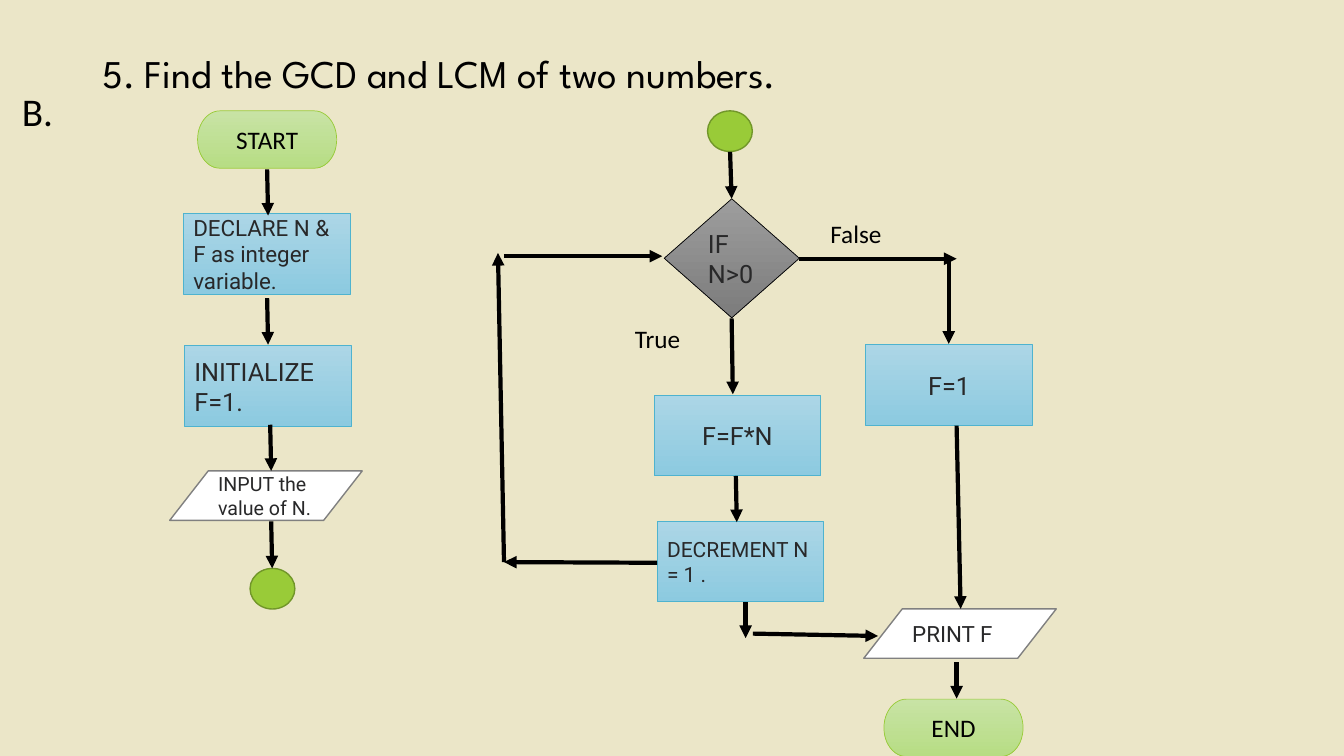
from typing import NamedTuple

from lxml import etree
from pptx import Presentation
from pptx.dml.color import RGBColor
from pptx.enum.shapes import MSO_CONNECTOR, MSO_SHAPE
from pptx.enum.text import MSO_ANCHOR, PP_ALIGN
from pptx.oxml.ns import qn
from pptx.util import Pt

STRAIGHT = MSO_CONNECTOR.STRAIGHT
TERMINATOR = MSO_SHAPE.FLOWCHART_TERMINATOR
JUNCTION = MSO_SHAPE.FLOWCHART_CONNECTOR
DECISION = MSO_SHAPE.FLOWCHART_DECISION
PROCESS = MSO_SHAPE.FLOWCHART_PROCESS
DATA = MSO_SHAPE.FLOWCHART_DATA
TOP, MIDDLE = MSO_ANCHOR.TOP, MSO_ANCHOR.MIDDLE
LEFT, CENTER = PP_ALIGN.LEFT, PP_ALIGN.CENTER

COLORS = {
    "background": "EBE6C8",
    "black": "000000",
    "ink": "282829",
    "white": "FFFFFF",
    "gray": "808080",
    "green": "99CB38",
    "dark green": "719629",
    "green top": "C8E3A5",
    "green bottom": "B7DD84",
    "blue": "4EB3CF",
    "blue top": "ACD6E6",
    "blue bottom": "8CCAE0",
    "gray top": "9D9D9D",
    "gray bottom": "7C7C7C",
}


class Style(NamedTuple):
    width: float
    height: float
    fills: tuple[str, ...]
    line: str
    line_width: float
    font: str = "Roboto"
    ink: str = "ink"


class Node(NamedTuple):
    kind: MSO_SHAPE
    left: float
    top: float
    text: str = ""
    size: float = 18
    align: PP_ALIGN = LEFT


class Arrow(NamedTuple):
    x1: float
    y1: float
    x2: float
    y2: float


class Label(NamedTuple):
    text: str
    left: float
    top: float
    width: float
    height: float
    size: float = 18
    font: str = "Calibri"
    anchor: MSO_ANCHOR = TOP
    line_spacing: float = 1.0
    space_before: float = 0


STYLES = {
    TERMINATOR: Style(99.4, 41, ("green top", "green bottom"), "green", 0.5, "Calibri", "black"),
    JUNCTION: Style(32, 29, ("green",), "dark green", 1),
    DECISION: Style(96.5, 85, ("gray top", "gray bottom"), "black", 0.5),
    PROCESS: Style(119, 57.6, ("blue top", "blue bottom"), "blue", 0.5),
    DATA: Style(137.5, 35.3, ("white",), "gray", 1),
}

NODES = [
    Node(TERMINATOR, 141.1, 79.2, "START", 18, CENTER),
    Node(PROCESS, 131, 152.6, "DECLARE N & F as integer variable.", 16),
    Node(PROCESS, 131.8, 247, "INITIALIZE F=1."),
    Node(DATA, 121.2, 336.4, "INPUT the value of N.", 14),
    Node(JUNCTION, 178.6, 406),
    Node(JUNCTION, 505.4, 79.2),
    Node(DECISION, 474.5, 142, "IF N>0"),
    Node(PROCESS, 467.3, 282.2, "F=F*N", 18, CENTER),
    Node(PROCESS, 618.5, 246.2, "F=1", 18, CENTER),
    Node(PROCESS, 469.4, 372.2, "DECREMENT N = 1 .", 15),
    Node(DATA, 617, 434.9, "PRINT F", 16),
    Node(TERMINATOR, 631.4, 499.4, "END", 18, CENTER),
]

ARROWS = [
    Arrow(190.8, 121, 191.5, 154),
    Arrow(190.8, 213, 191.5, 246.2),
    Arrow(193, 303.4, 193.7, 336.4),
    Arrow(193.7, 372.4, 194.4, 406),
    Arrow(521.5, 108.5, 522.6, 142),
    Arrow(571, 184.8, 683.3, 184.8),
    Arrow(677.7, 184.8, 677.7, 245.6),
    Arrow(522.6, 227.4, 523.5, 281.6),
    Arrow(525.6, 340, 526.3, 373),
    Arrow(683.3, 304, 686.2, 434.9),
    Arrow(683.3, 473, 683.3, 499),
    Arrow(469.4, 402, 360, 401.5),
    Arrow(360, 401.5, 355.7, 180.7),
    Arrow(360, 183, 473, 183),
    Arrow(532.6, 430, 532.6, 455.8),
    Arrow(537.8, 452.6, 627.2, 454.3),
]

LABELS = [
    Label("5. Find the GCD and LCM of two numbers.", 66.2, 28.8, 828, 50.4,
          28, "League Spartan", MIDDLE, 0.9),
    Label("B.", 8.6, 62.6, 917.3, 477.4, 28, line_spacing=0.9, space_before=10),
    Label("True", 446.4, 227.5, 59, 29),
    Label("False", 586, 152.6, 62, 29),
]


def color(name: str) -> RGBColor:
    return RGBColor.from_string(COLORS[name])


def write_text(shape, text: str, font: str, size: float, ink: str, anchor: MSO_ANCHOR, align: PP_ALIGN):
    frame = shape.text_frame
    frame.word_wrap = True
    frame.vertical_anchor = anchor
    paragraph = frame.paragraphs[0]
    paragraph.text = text
    paragraph.alignment = align
    paragraph.font.name = font
    paragraph.font.size = Pt(size)
    paragraph.font.color.rgb = color(ink)
    return paragraph


def draw_node(slide, node: Node) -> None:
    style = STYLES[node.kind]
    shape = slide.shapes.add_shape(
        node.kind, Pt(node.left), Pt(node.top), Pt(style.width), Pt(style.height))
    shape.shadow.inherit = False
    if len(style.fills) == 1:
        shape.fill.solid()
        shape.fill.fore_color.rgb = color(style.fills[0])
    else:
        shape.fill.gradient()
        shape.fill.gradient_angle = 270
        for stop, position, name in zip(shape.fill.gradient_stops, (0, 1), style.fills):
            stop.position = position
            stop.color.rgb = color(name)
    shape.line.color.rgb = color(style.line)
    shape.line.width = Pt(style.line_width)
    if node.text:
        write_text(shape, node.text, style.font, node.size, style.ink, MIDDLE, node.align)


def draw_arrow(slide, arrow: Arrow) -> None:
    connector = slide.shapes.add_connector(STRAIGHT, *(Pt(value) for value in arrow))
    connector.line.color.rgb = color("black")
    connector.line.width = Pt(3)
    etree.SubElement(connector.line._get_or_add_ln(), qn("a:tailEnd"), type="triangle")
    etree.SubElement(connector._element.spPr, qn("a:effectLst"))


def draw_label(slide, label: Label) -> None:
    box = slide.shapes.add_textbox(
        Pt(label.left), Pt(label.top), Pt(label.width), Pt(label.height))
    paragraph = write_text(box, label.text, label.font, label.size, "black", label.anchor, LEFT)
    paragraph.line_spacing = label.line_spacing
    paragraph.space_before = Pt(label.space_before)


def main() -> None:
    presentation = Presentation()
    presentation.slide_width = Pt(960)
    presentation.slide_height = Pt(540)
    slide = presentation.slides.add_slide(presentation.slide_layouts[6])
    slide.background.fill.solid()
    slide.background.fill.fore_color.rgb = color("background")
    for label in LABELS:
        draw_label(slide, label)
    for node in NODES:
        draw_node(slide, node)
    for arrow in ARROWS:
        draw_arrow(slide, arrow)
    presentation.save("out.pptx")


if __name__ == "__main__":
    main()
